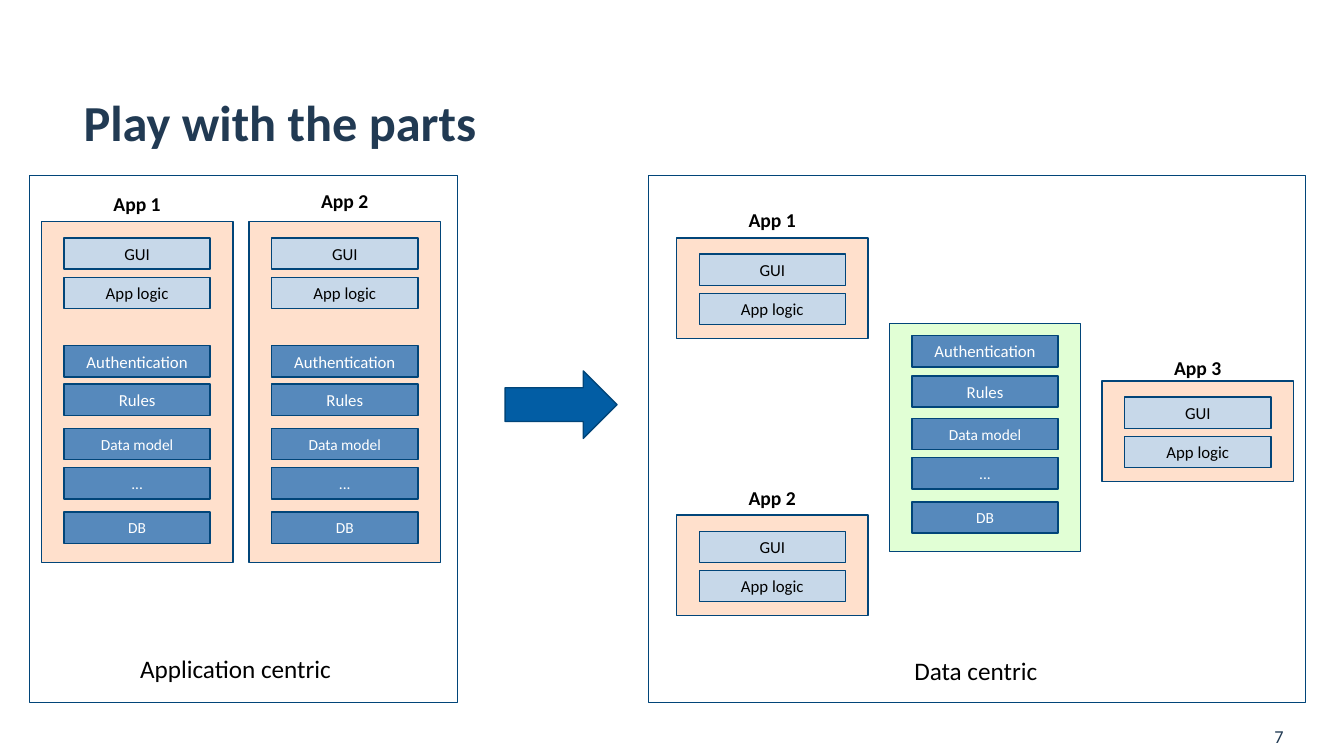
from pptx import Presentation
from pptx.dml.color import RGBColor
from pptx.enum.shapes import MSO_SHAPE
from pptx.enum.text import MSO_ANCHOR, MSO_AUTO_SIZE, PP_ALIGN
from pptx.util import Inches, Pt

RECTANGLE = MSO_SHAPE.RECTANGLE
RIGHT_ARROW = MSO_SHAPE.RIGHT_ARROW
MIDDLE = MSO_ANCHOR.MIDDLE
TOP = MSO_ANCHOR.TOP
GROW = MSO_AUTO_SIZE.SHAPE_TO_FIT_TEXT
FIXED = MSO_AUTO_SIZE.NONE
CENTER = PP_ALIGN.CENTER
LEFT = PP_ALIGN.LEFT

COLORS = {
    "title": "213A53",
    "outline": "014579",
    "arrow": "025DA4",
    "app": "FFE0CC",
    "shared": "E1FFD5",
    "front": "C7D8E9",
    "back": "5689BC",
    "black": "000000",
    "white": "FFFFFF",
}

FRAME_WIDTH = 1.9
LAYER_WIDTH, LAYER_HEIGHT = 1.45, 0.31
LAYERS = {
    "GUI": ("front", "black", 12),
    "App logic": ("front", "black", 12),
    "Authentication": ("back", "white", 12),
    "Rules": ("back", "white", 12),
    "Data model": ("back", "white", 11),
    "...": ("back", "white", 11),
    "DB": ("back", "white", 11),
}
FRONT_OFFSETS = {"GUI": 0.16, "App logic": 0.55}
FULL_OFFSETS = FRONT_OFFSETS | {
    "Authentication": 1.23, "Rules": 1.61, "Data model": 2.05, "...": 2.44, "DB": 2.88}
SHARED_OFFSETS = {
    "Authentication": 0.12, "Rules": 0.52, "Data model": 0.94, "...": 1.33, "DB": 1.77}


class SlideBuilder:
    def __init__(self, page):
        self.page = page
        self.font = "Calibri"

    def color(self, name):
        return RGBColor.from_string(COLORS[name])

    def label(self, box, text, size, color, bold=False, align=LEFT, spacing=None):
        para = box.text_frame.paragraphs[0]
        para.alignment = align
        para.line_spacing = spacing
        span = para.add_run()
        span.text = text
        values = {"name": self.font, "size": Pt(size), "bold": bold}
        for key, value in values.items():
            setattr(span.font, key, value)
        span.font.color.rgb = self.color(color)

    def text(self, place, text, size, color="black", anchor=TOP, wrap=True, fit=FIXED, **style):
        box = self.page.shapes.add_textbox(*map(Inches, place))
        values = {"word_wrap": wrap, "auto_size": fit, "vertical_anchor": anchor}
        for key, value in values.items():
            setattr(box.text_frame, key, value)
        self.label(box, text, size, color, **style)

    def shape(self, place, fill=None, kind=RECTANGLE, parent=None):
        box = (parent or self.page).shapes.add_shape(kind, *map(Inches, place))
        box.shadow.inherit = False
        if fill:
            box.fill.solid()
            box.fill.fore_color.rgb = self.color(fill)
        else:
            box.fill.background()
        box.line.color.rgb = self.color("outline")
        box.line.width = Pt(1)
        return box

    def stack(self, left, top, height, fill, offsets):
        group = self.page.shapes.add_group_shape()
        self.shape((left, top, FRAME_WIDTH, height), fill, parent=group)
        layer_left = left + (FRAME_WIDTH - LAYER_WIDTH) / 2
        for name, offset in offsets.items():
            layer_fill, color, size = LAYERS[name]
            place = (layer_left, top + offset, LAYER_WIDTH, LAYER_HEIGHT)
            box = self.shape(place, layer_fill, parent=group)
            box.text_frame.vertical_anchor = MIDDLE
            box.text_frame.word_wrap = True
            self.label(box, name, size, color, align=CENTER)

    def app(self, name, left, top, label_top, height, offsets):
        self.stack(left, top, height, "app", offsets)
        self.text((left, label_top, FRAME_WIDTH, 0.34), name, 14,
                  fit=GROW, bold=True, align=CENTER)


def main():
    deck = Presentation()
    deck.slide_width, deck.slide_height = Inches(13.33), Inches(7.5)
    slide = SlideBuilder(deck.slides.add_slide(deck.slide_layouts[6]))

    slide.text((12.54, 7.1, 0.62, 0.4), "7", 13, "title", anchor=MIDDLE)
    slide.text((0.73, 0.92, 11.88, 0.52), "Play with the parts", 36, "title",
               bold=True, spacing=0.9)

    for name, left, label_top in (("App 1", 0.41, 1.86), ("App 2", 2.47, 1.83)):
        slide.app(name, left, 2.2, label_top, 3.38, FULL_OFFSETS)

    slide.stack(8.82, 3.21, 2.26, "shared", SHARED_OFFSETS)
    for name, left, top, label_top in (
        ("App 1", 6.71, 2.36, 2.01),
        ("App 2", 6.71, 5.11, 4.77),
        ("App 3", 10.93, 3.78, 3.48),
    ):
        slide.app(name, left, top, label_top, 1, FRONT_OFFSETS)

    slide.shape((5.01, 3.68, 1.11, 0.67), "arrow", RIGHT_ARROW)
    for caption, place, panel_left, panel_width in (
        ("Application centric", (1.29, 6.43, 2.12, 0.4), 0.29, 4.25),
        ("Data centric", (8.97, 6.45, 1.44, 0.4), 6.43, 6.52),
    ):
        slide.text(place, caption, 18, wrap=False, fit=GROW)
        slide.shape((panel_left, 1.74, panel_width, 5.23))

    deck.save("out.pptx")


if __name__ == "__main__":
    main()
